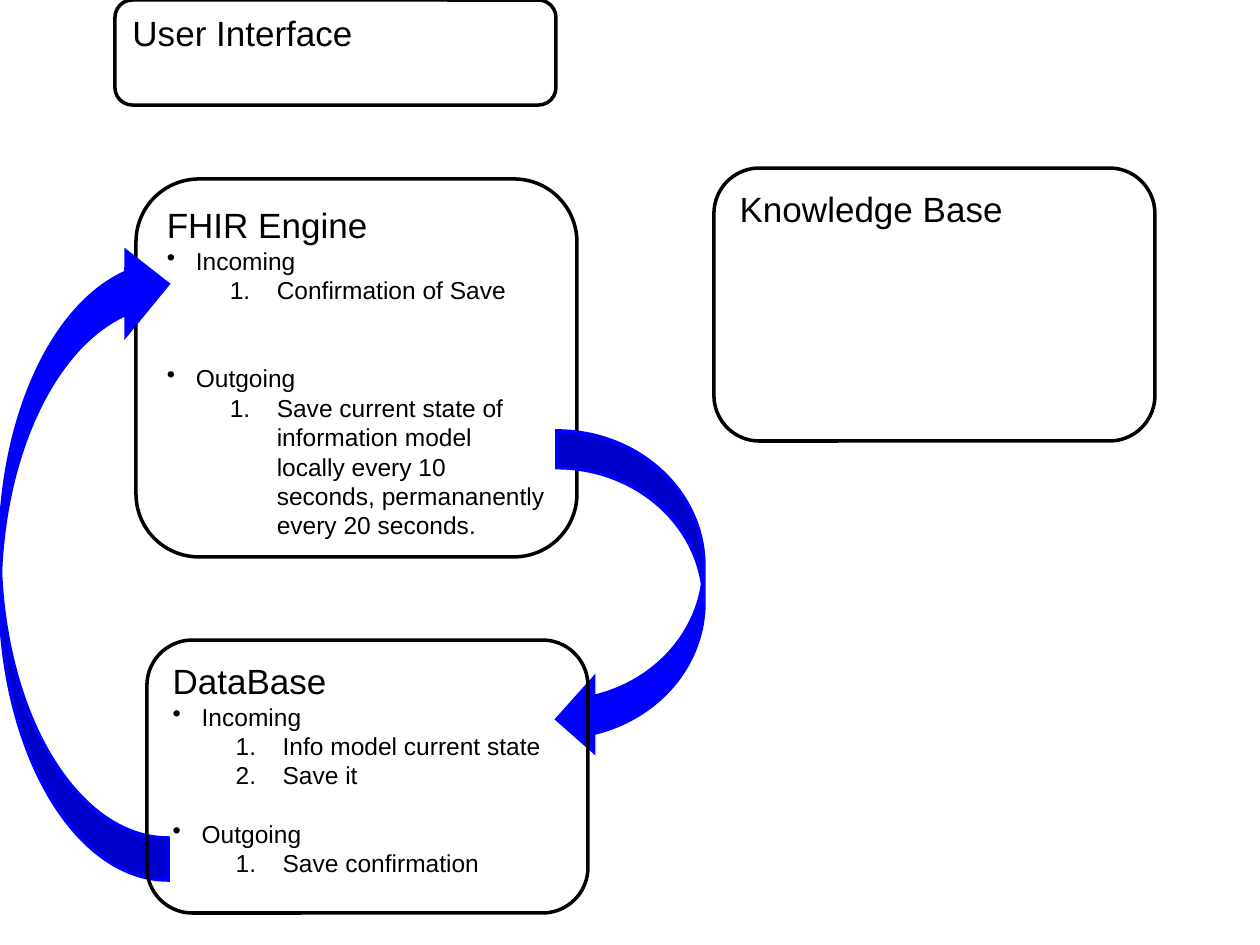
"""Builds a slide showing how the FHIR engine and the database exchange messages."""
import pptx
import pptx.dml.color
import pptx.enum.shapes
import pptx.enum.text
import pptx.oxml
import pptx.oxml.ns
import pptx.util

BLACK = pptx.dml.color.RGBColor(0, 0, 0)
BLUE = pptx.dml.color.RGBColor(0, 0, 255)
SHAPE_TYPE = pptx.enum.shapes.MSO_SHAPE

TITLE = {"size": 20}
GROUP = {"size": 14, "margin": 29, "indent": -29, "bullet": '<a:buChar %s char="•"/>'}
STEP = {"size": 14, "level": 1, "margin": 110, "indent": -47,
        "bullet": '<a:buAutoNum %s type="arabicPeriod"/>'}


class SlideBuilder:
    EMU_PER_PX = 914400 / 126
    FONT = "Arial"
    LINE_WIDTH = pptx.util.Pt(2)

    def __init__(self, slide):
        self.slide = slide

    def emu(self, px):
        return pptx.util.Emu(round(px * self.EMU_PER_PX))

    def outlined_shape(self, kind, bounds, color):
        shape = self.slide.shapes.add_shape(kind, *map(self.emu, bounds))
        shape.shadow.inherit = False
        shape.line.color.rgb = color
        shape.line.width = self.LINE_WIDTH
        return shape

    def box(self, bounds, lines):
        shape = self.outlined_shape(SHAPE_TYPE.ROUNDED_RECTANGLE, bounds, BLACK)
        shape.fill.background()
        frame = shape.text_frame
        frame.word_wrap = True
        frame.vertical_anchor = pptx.enum.text.MSO_ANCHOR.TOP
        for index, (text, style, gap) in enumerate(lines):
            paragraph = frame.add_paragraph() if index else frame.paragraphs[0]
            self.paragraph(paragraph, text, style, gap)

    def paragraph(self, paragraph, text, style, gap):
        formats = {"text": text, "level": style.get("level", 0),
                   "alignment": pptx.enum.text.PP_ALIGN.LEFT}
        if gap:
            formats["space_before"] = self.emu(gap)
        for name, value in formats.items():
            setattr(paragraph, name, value)
        if "bullet" in style:
            properties = paragraph._p.get_or_add_pPr()
            properties.set("marL", str(self.emu(style["margin"])))
            properties.set("indent", str(self.emu(style["indent"])))
            properties.append(pptx.oxml.parse_xml(style["bullet"] % pptx.oxml.ns.nsdecls("a")))
        font = paragraph.runs[0].font
        for name, value in {"name": self.FONT, "size": pptx.util.Pt(style["size"])}.items():
            setattr(font, name, value)
        font.color.rgb = BLACK

    def curved_arrow(self, bounds, rotation=0):
        shape = self.outlined_shape(SHAPE_TYPE.CURVED_LEFT_ARROW, bounds, BLUE)
        shape.fill.solid()
        shape.fill.fore_color.rgb = BLUE
        shape.rotation = rotation
        outline = shape._element.spPr.find(pptx.oxml.ns.qn("a:ln"))
        miter = '<a:miter %s lim="800000"/>' % pptx.oxml.ns.nsdecls("a")
        outline.append(pptx.oxml.parse_xml(miter))


def main():
    presentation = pptx.Presentation()
    presentation.slide_width = pptx.util.Inches(10)
    presentation.slide_height = pptx.util.Inches(7.5)
    builder = SlideBuilder(presentation.slides.add_slide(presentation.slide_layouts[6]))
    builder.box((136, 179, 441, 378), [
        ("FHIR Engine", TITLE, 0),
        ("Incoming", GROUP, 0),
        ("Confirmation of Save", STEP, 0),
        ("Outgoing", GROUP, 59),
        ("Save current state of information model locally every 10 seconds, "
         "permananently every 20 seconds.", STEP, 0),
    ])
    builder.box((115, 0, 441, 105), [("User Interface", TITLE, 0)])
    builder.curved_arrow((0, 242, 168, 638), rotation=180)
    builder.curved_arrow((557, 431, 147, 325))
    builder.box((714, 168, 441, 273), [("Knowledge Base", TITLE, 0)])
    builder.box((147, 640, 441, 273), [
        ("DataBase", TITLE, 0),
        ("Incoming", GROUP, 0),
        ("Info model current state", STEP, 0),
        ("Save it", STEP, 0),
        ("Outgoing", GROUP, 29),
        ("Save confirmation", STEP, 0),
    ])
    presentation.save("out.pptx")


if __name__ == "__main__":
    main()
